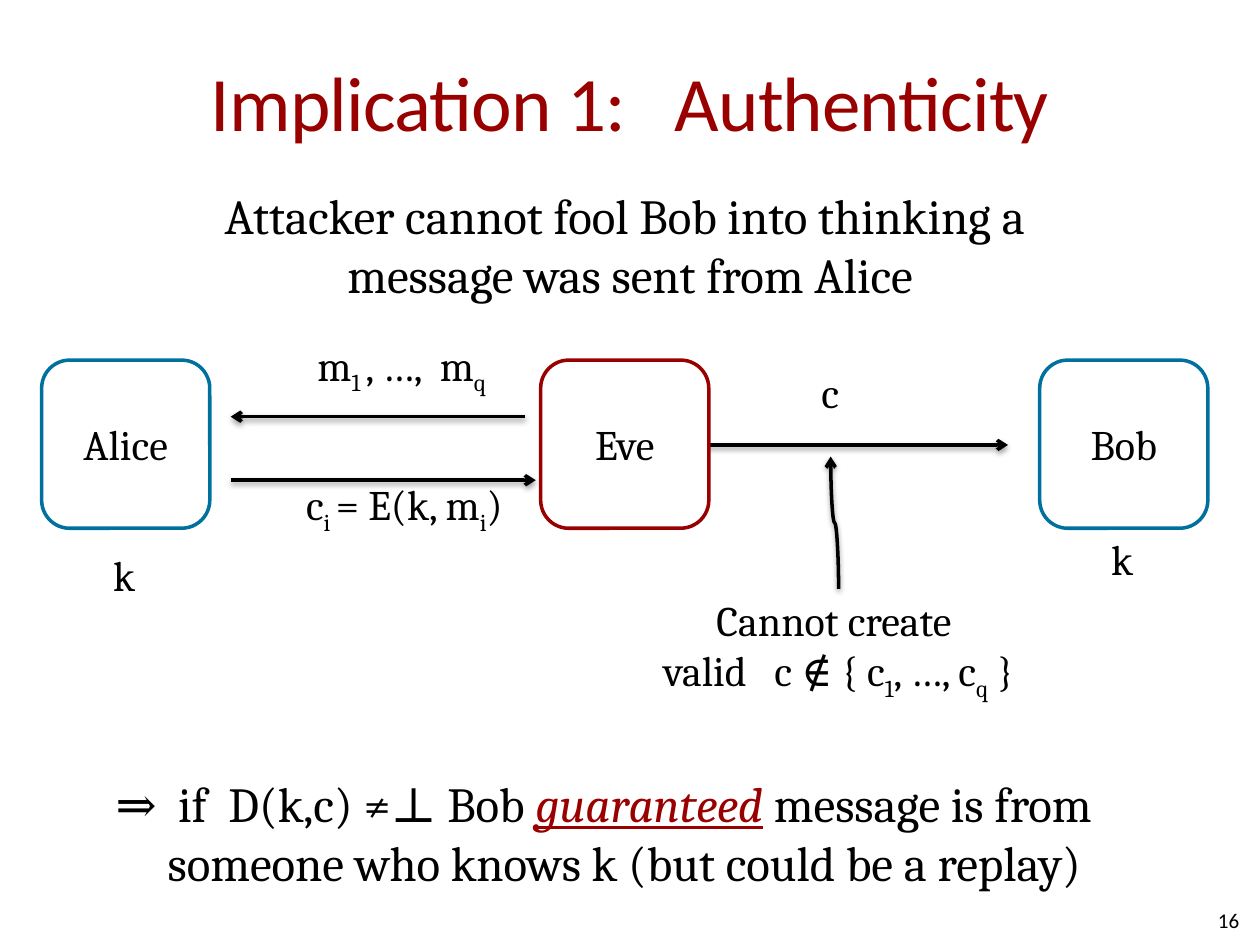
import pptx
import pptx.util
import pptx.dml.color
import pptx.enum.shapes
import pptx.enum.text
import pptx.oxml
from pptx.util import Cm, Pt

RED, BLUE, BLACK, WHITE = "990000", "00709E", "000000", "FFFFFF"
ALIGN = pptx.enum.text.PP_ALIGN
MIDDLE = pptx.enum.text.MSO_ANCHOR.MIDDLE
CONN = pptx.enum.shapes.MSO_CONNECTOR
NS = 'xmlns:a="http://schemas.openxmlformats.org/drawingml/2006/main"'
LINE_END = f'<a:tailEnd {NS} type="arrow"/>'
SHADOW = (f'<a:effectLst {NS}><a:outerShdw blurRad="40000" dist="20000" dir="5400000" rotWithShape="0">'
          '<a:srgbClr val="000000"><a:alpha val="38000"/></a:srgbClr></a:outerShdw></a:effectLst>')


def rgb(hex_color):
    return pptx.dml.color.RGBColor.from_string(hex_color)


def write(tf, lines, size, align=ALIGN.LEFT, font="Cambria", color=BLACK):
    """Write one paragraph per line; every second part between bars is a subscript."""
    for i, line in enumerate(lines):
        p = tf.paragraphs[0] if i == 0 else tf.add_paragraph()
        p.alignment = align
        p.font.size, p.font.name = Pt(size), font
        p.font.color.rgb = rgb(color)
        for j, part in enumerate(line.split("|")):
            r = p.add_run()
            r.text = part
            if j % 2:
                r.font._element.set("baseline", "-25000")


prs = pptx.Presentation()
prs.slide_width, prs.slide_height = Cm(25.4), Cm(19.05)
s = prs.slides.add_slide(prs.slide_layouts[5])

# Title
title = s.shapes.title
title.left, title.top, title.width, title.height = Cm(1.27), Cm(0.43), Cm(22.86), Cm(3.18)
tf = title.text_frame
tf.margin_left = tf.margin_right = 0
tf.vertical_anchor = MIDDLE
write(tf, ["Implication 1:   Authenticity"], 44, ALIGN.CENTER, "Calibri", RED)
tf.paragraphs[0].runs[0].font._element.set("spc", "-50")

# Claim
tf = s.shapes.add_textbox(Cm(1.27), Cm(3.61), Cm(22.86), Cm(3.1)).text_frame
tf.word_wrap = True
write(tf, ["Attacker cannot fool Bob into thinking a ", "message was sent from Alice"], 28, ALIGN.CENTER)

# Arrows; the last one is turned upright
arrows = [
    (CONN.STRAIGHT, 10.58, 8.4, 4.65, 8.4, 0),
    (CONN.STRAIGHT, 4.65, 9.68, 10.8, 9.68, 0),
    (CONN.STRAIGHT, 13.77, 8.97, 20.32, 8.97, 0),
    (CONN.CURVE, 15.49, 10.62, 18.16, 10.46, 270),
]
for kind, x1, y1, x2, y2, angle in arrows:
    arrow = s.shapes.add_connector(kind, Cm(x1), Cm(y1), Cm(x2), Cm(y2))
    arrow.line.color.rgb = rgb(BLACK)
    arrow.line.width = Pt(2)
    arrow.line._get_or_add_ln().append(pptx.oxml.parse_xml(LINE_END))
    sp_pr = arrow._element.spPr
    sp_pr.append(pptx.oxml.parse_xml(SHADOW))
    if angle:
        sp_pr.xfrm.set("rot", str(angle * 60000))

# Parties
for i, (name, color) in enumerate([("Alice", BLUE), ("Eve", RED), ("Bob", BLUE)]):
    sp = s.shapes.add_shape(pptx.enum.shapes.MSO_SHAPE.ROUNDED_RECTANGLE,
                            Cm(0.84 + 10.06 * i), Cm(7.26), Cm(3.39), Cm(3.39))
    sp.shadow.inherit = False
    sp.fill.solid()
    sp.fill.fore_color.rgb = rgb(WHITE)
    sp.line.color.rgb = rgb(color)
    sp.line.width = Pt(2)
    sp.text_frame.vertical_anchor = MIDDLE
    write(sp.text_frame, [name], 24, ALIGN.CENTER)

# Labels
labels = [
    (2.03, 10.95, 0.97, 1.27, ["k"], ALIGN.LEFT),
    (22.15, 10.64, 0.97, 1.27, ["k"], ALIGN.LEFT),
    (6.15, 6.71, 4.24, 1.27, ["m|1 |, …,  m|q"], ALIGN.LEFT),
    (5.92, 9.53, 4.67, 1.27, ["c|i |= E(k, m|i|)"], ALIGN.LEFT),
    (16.31, 7.26, 0.89, 1.27, ["c"], ALIGN.LEFT),
    (12.93, 11.86, 7.95, 2.31, ["Cannot create ", "valid   c ∉ { c|1|, …, c|q| }"], ALIGN.CENTER),
]
for x, y, w, h, lines, align in labels:
    tf = s.shapes.add_textbox(Cm(x), Cm(y), Cm(w), Cm(h)).text_frame
    tf.word_wrap = False
    tf.auto_size = pptx.enum.text.MSO_AUTO_SIZE.SHAPE_TO_FIT_TEXT
    write(tf, lines, 24, align)

# Conclusion
tf = s.shapes.add_textbox(Cm(2.08), Cm(15.47), Cm(21.23), Cm(2.64)).text_frame
tf.word_wrap = True
write(tf, ["⇒  if  D(k,c) ≠⊥ Bob ", "someone who knows k (but could be a replay)"], 28)
first, second = tf.paragraphs
r = first.add_run()
r.text = "guaranteed"
r.font.italic = r.font.underline = True
r.font.color.rgb = rgb(RED)
first.add_run().text = " message is from"
second._p.get_or_add_pPr().set("marL", str(Cm(1.05)))

# Slide number
tf = s.shapes.add_textbox(Cm(19.05), Cm(18.03), Cm(5.93), Cm(1.02)).text_frame
tf.margin_left = tf.margin_right = tf.margin_top = tf.margin_bottom = 0
tf.word_wrap = True
tf.vertical_anchor = MIDDLE
write(tf, ["16"], 12, ALIGN.RIGHT, "Calibri")

prs.save("out.pptx")
